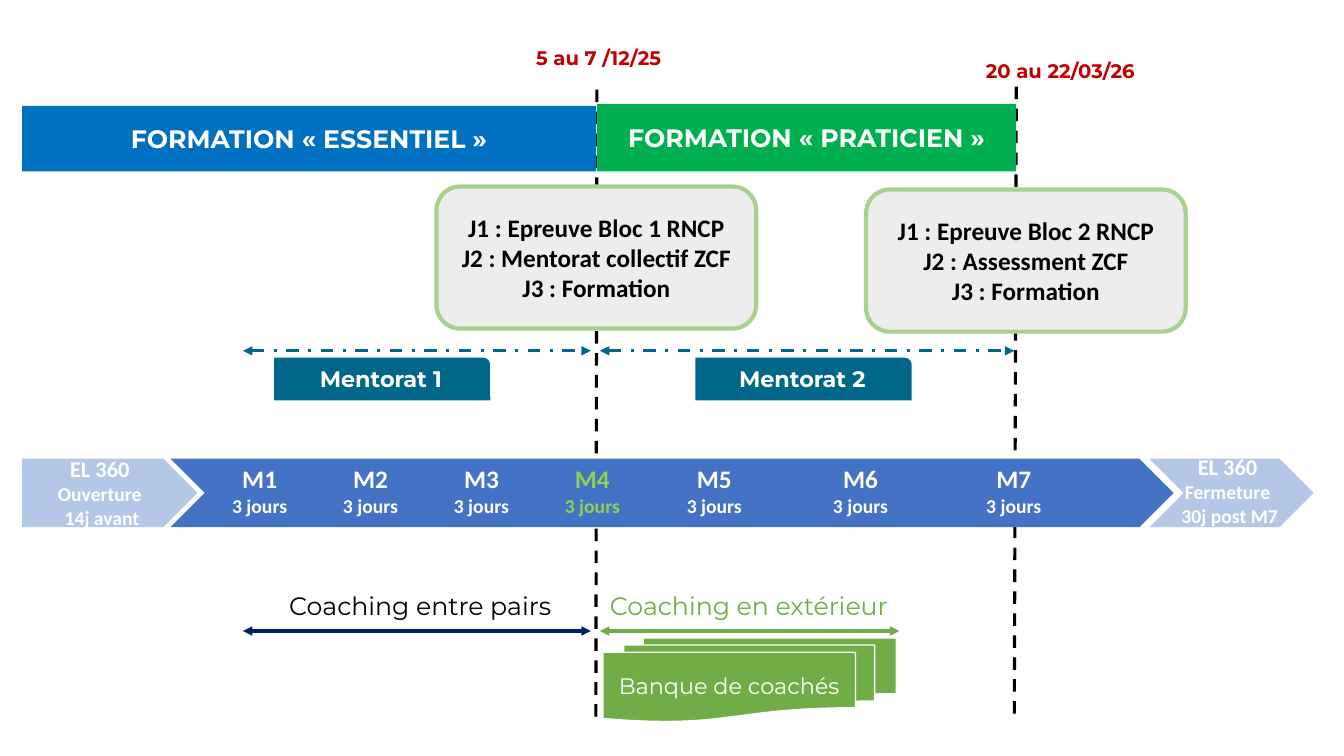
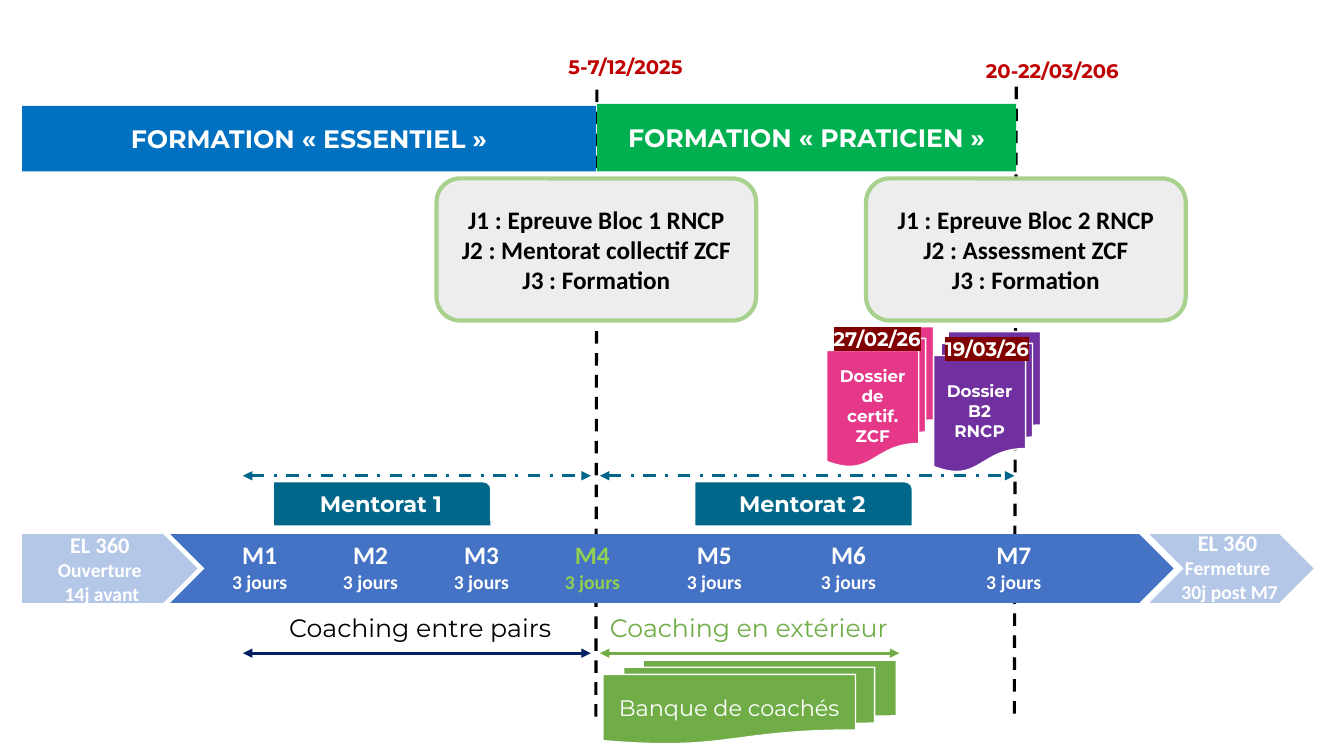
from lxml import etree
from pptx import Presentation, util as u
from pptx.dml.color import RGBColor
from pptx.enum import dml, shapes, text
from pptx.oxml.ns import qn

WHITE = RGBColor(0xFF, 0xFF, 0xFF)
BLACK = RGBColor(0, 0, 0)
RED = RGBColor(0xC0, 0, 0)
MAROON = RGBColor(0x80, 0, 0)
BLUE = RGBColor(0, 0x70, 0xC0)
NAVY = RGBColor(0, 0x20, 0x60)
ARROW_BLUE = RGBColor(0x44, 0x72, 0xC4)
PALE_BLUE = RGBColor(0xB4, 0xC7, 0xE7)
TEAL = RGBColor(0x01, 0x67, 0x8A)
EMERALD = RGBColor(0, 0xB0, 0x50)
GREEN = RGBColor(0x70, 0xAD, 0x47)
PALE_GREEN = RGBColor(0xA9, 0xD1, 0x8E)
LIME = RGBColor(0x92, 0xD0, 0x50)
GREY = RGBColor(0xED, 0xED, 0xED)
PINK = RGBColor(0xE5, 0x38, 0x89)
PURPLE = RGBColor(0x70, 0x30, 0xA0)

HEAD, BODY = "Montserrat", "Calibri"
KIND = shapes.MSO_SHAPE
DASH = dml.MSO_LINE

# Vertical guides of the plan: start of the bars, module 4, module 7
START, MIDDLE, END = 0.22, 5.92, 10.08
MENTOR_LEFT, ARROW_LEFT, ARROW_MID = 2.71, 2.41, 5.95

FORMATIONS = [
    ("FORMATION « PRATICIEN »", (MIDDLE, 1.03, END - MIDDLE, 0.67), EMERALD),
    ("FORMATION « ESSENTIEL »", (START, 1.05, MIDDLE - START - 0.01, 0.65), BLUE),
]
GUIDES = [(END, 0.86, 10.06, 7.16), (MIDDLE, 0.89, 5.91, 7.19)]
EXAMS = [
    (4.33, ["J1 : Epreuve Bloc 1 RNCP", "J2 : Mentorat collectif ZCF", "J3 : Formation"]),
    (8.59, ["J1 : Epreuve Bloc 2 RNCP", "J2 : Assessment ZCF", "J3 : Formation"]),
]
MENTORING = [
    ("Mentorat 1", MENTOR_LEFT, ARROW_LEFT, 5.86),
    ("Mentorat 2", 6.89, ARROW_MID, 10.06),
]
COACHING = [
    ("Coaching entre pairs", 2.77, 2.84, BLACK, ARROW_LEFT, 5.86, NAVY),
    ("Coaching en extérieur", 5.95, 3.01, GREEN, ARROW_MID, 8.92, GREEN),
]
ENDS = [
    (KIND.PENTAGON, START, 1.74, ["EL 360", "Ouverture", " 14j avant"], 0.47, 1.04, -0.08),
    (KIND.CHEVRON, 11.4, 1.63, ["EL 360", "Fermeture", " 30j post M7"], 11.57, 1.21, -0.1),
]

SCHEDULES = [
    {
        "dates": [("5 au 7 /12/25", 5.22, 0.41, 1.44), ("20 au 22/03/26", 9.68, 0.54, 1.69)],
        "exam_tops": (1.85, 1.88),
        "mentoring_top": 3.48,
        "timeline_top": 4.55,
        "coaching_top": 5.81,
        "late_modules": (6.71, 8.16, 9.68),
        "files": [],
    },
    {
        "dates": [("5-7/12/2025", 5.54, 0.5, 1.34), ("20-22/03/206", 9.68, 0.54, 1.53)],
        "exam_tops": (1.77, 1.77),
        "mentoring_top": 4.72,
        "timeline_top": 5.3,
        "coaching_top": 6.03,
        "late_modules": (6.71, 8.04, 9.68),
        "files": [
            (["Dossier de certif.", "ZCF"], 8.2, 3.24, PINK, "27/02/26", 7.86, 3.19),
            (["Dossier B2 RNCP"], 9.26, 3.29, PURPLE, "19/03/26", 8.95, 3.29),
        ],
    },
]


def write(frame, lines, sizes, color, font, bold=True, align=text.PP_ALIGN.CENTER):
    """Fill a text frame; the last size goes on for the remaining lines."""
    frame.text = "\n".join(lines)
    for index, para in enumerate(frame.paragraphs):
        para.alignment = align
        for span in para.runs:
            span.font.size = u.Pt(sizes[min(index, len(sizes) - 1)])
            span.font.name = font
            span.font.bold = bold
            span.font.color.rgb = color


def add_label(slide, at, lines, sizes, color, font=BODY, wrap=False, **style):
    box = slide.shapes.add_textbox(*map(u.Inches, at))
    frame = box.text_frame
    frame.word_wrap = wrap
    frame.auto_size = text.MSO_AUTO_SIZE.SHAPE_TO_FIT_TEXT
    write(frame, lines, sizes, color, font, **style)
    return box


def add_box(slide, kind, at, fill, line=None, width=1):
    box = slide.shapes.add_shape(kind, *map(u.Inches, at))
    box.shadow.inherit = False
    box.fill.solid()
    box.fill.fore_color.rgb = fill
    if line is None:
        box.line.fill.background()
    else:
        box.line.color.rgb = line
        box.line.width = u.Pt(width)
    box.text_frame.word_wrap = True
    box.text_frame.vertical_anchor = text.MSO_ANCHOR.MIDDLE
    return box


def add_line(slide, ends, color, dash=None, arrows=False):
    line = slide.shapes.add_connector(shapes.MSO_CONNECTOR.STRAIGHT, *map(u.Inches, ends))
    line.line.color.rgb = color
    line.line.width = u.Pt(2.25)
    if dash:
        line.line.dash_style = dash
    if arrows:
        outline = line.line._get_or_add_ln()
        for tag in ("a:headEnd", "a:tailEnd"):
            etree.SubElement(outline, qn(tag), type="triangle")
    etree.SubElement(line._element.spPr, qn("a:effectLst"))


def highlight(box, color):
    for span in box.text_frame.paragraphs[0].runs:
        mark = etree.Element(qn("a:highlight"))
        etree.SubElement(mark, qn("a:srgbClr"), val=str(color))
        span._r.rPr.find(qn("a:solidFill")).addnext(mark)


def draw_timeline(slide, top, late_modules):
    add_box(slide, KIND.CHEVRON, (1.69, top, 9.95, 0.68), ARROW_BLUE)
    for kind, left, width, lines, label_left, label_width, shift in ENDS:
        add_box(slide, kind, (left, top, width, 0.68), PALE_BLUE)
        add_label(slide, (label_left, top + shift, label_width, 0.84), lines, (16, 14), WHITE)
    lefts = [2.2 + 1.1 * index for index in range(4)] + list(late_modules)
    for number, left in enumerate(lefts, 1):
        color = LIME if number == 4 else WHITE
        add_label(slide, (left, top, 0.75, 0.64), [f"M{number}", "3 jours"], (18, 14), color)


def draw_coaching(slide, top):
    for name, left, width, color, start, end, arrow_color in COACHING:
        add_label(slide, (left, top, width, 0.4), [name], (18,), color, HEAD,
                  bold=False, align=text.PP_ALIGN.LEFT)
        add_line(slide, (start, top + 0.45, end, top + 0.45), arrow_color, arrows=True)
    bank = add_box(slide, KIND.FLOWCHART_MULTIDOCUMENT, (5.98, top + 0.52, 2.91, 0.83),
                   GREEN, WHITE)
    write(bank.text_frame, ["Banque de coachés"], (16,), WHITE, HEAD, bold=False)


def draw_mentoring(slide, top):
    for name, left, start, end in MENTORING:
        add_line(slide, (start, top, end, top), TEAL, DASH.DASH_DOT, arrows=True)
        tab = add_box(slide, KIND.ROUND_1_RECTANGLE, (left, top + 0.06, 2.16, 0.44), TEAL, WHITE)
        write(tab.text_frame, [name], (16,), WHITE, HEAD)


def draw_files(slide, files):
    for lines, left, top, color, date, date_left, date_top in files:
        stack = add_box(slide, KIND.FLOWCHART_MULTIDOCUMENT, (left, top, 1.06, 1.39),
                        color, WHITE)
        write(stack.text_frame, lines, (12,), WHITE, HEAD)
        label = add_label(slide, (date_left, date_top, 1.68, 0.34), [date], (14,), WHITE,
                          HEAD, wrap=True)
        highlight(label, MAROON)


def draw_schedule(slide, schedule):
    for guide in GUIDES:
        add_line(slide, guide, BLACK, DASH.DASH)
    for date, left, top, width in schedule["dates"]:
        add_label(slide, (left, top, width, 0.34), [date], (14,), RED, HEAD,
                  align=text.PP_ALIGN.LEFT)
    draw_timeline(slide, schedule["timeline_top"], schedule["late_modules"])
    draw_coaching(slide, schedule["coaching_top"])
    draw_mentoring(slide, schedule["mentoring_top"])
    for (left, lines), top in zip(EXAMS, schedule["exam_tops"]):
        panel = add_box(slide, KIND.ROUNDED_RECTANGLE, (left, top, 3.17, 1.41),
                        GREY, PALE_GREEN, 3)
        write(panel.text_frame, lines, (18,), BLACK, BODY)
    draw_files(slide, schedule["files"])
    for name, at, color in FORMATIONS:
        bar = add_box(slide, KIND.RECTANGLE, at, color)
        write(bar.text_frame, [name], (18,), WHITE, HEAD)


def main():
    deck = Presentation()
    deck.slide_width, deck.slide_height = u.Inches(13.33), u.Inches(7.5)
    for schedule in SCHEDULES:
        draw_schedule(deck.slides.add_slide(deck.slide_layouts[6]), schedule)
    deck.save("out.pptx")


if __name__ == "__main__":
    main()
